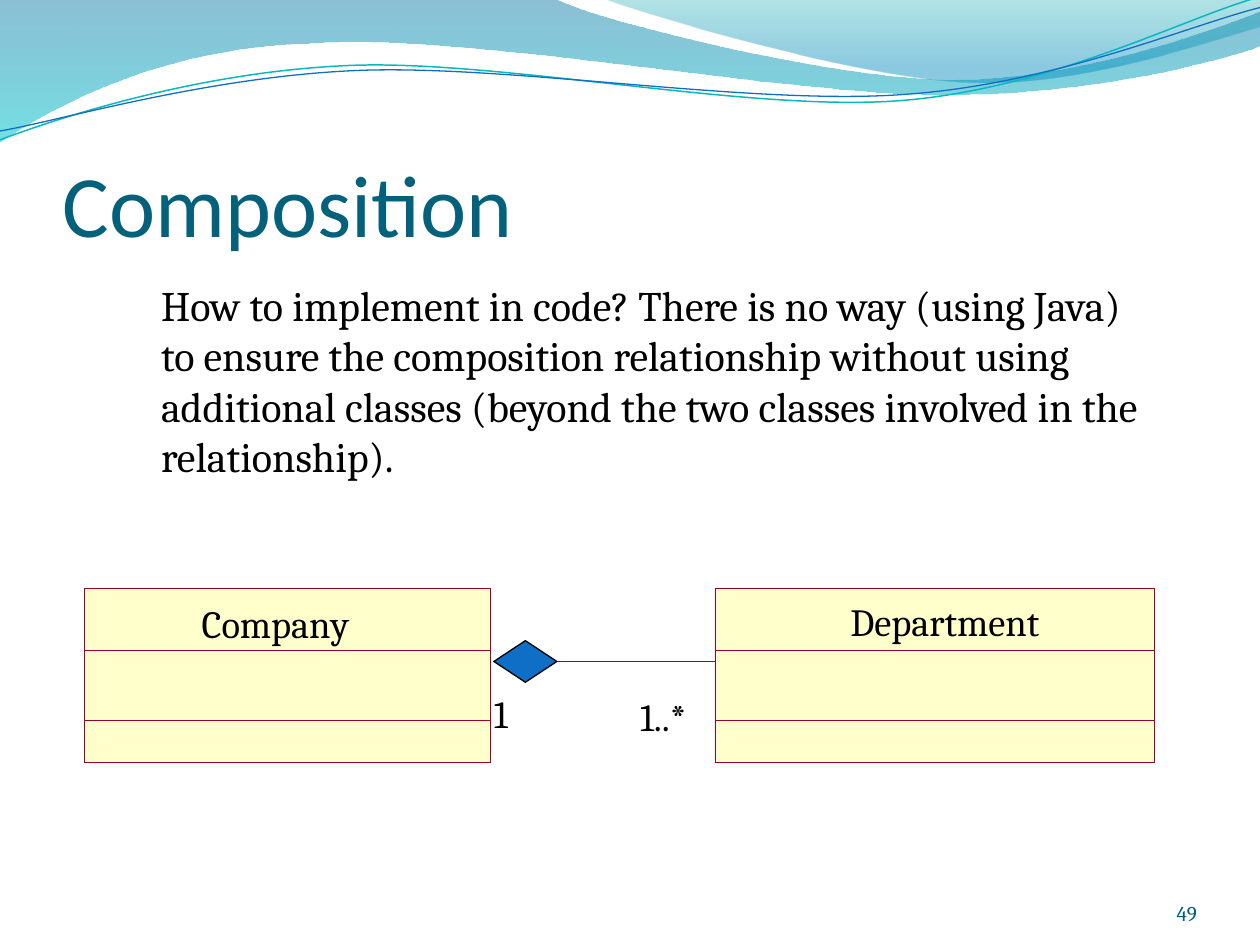
"""Build a slide on composition between two classes, with a UML diagram under a wave header."""
from dataclasses import dataclass
from math import cos, radians, sin

from lxml import etree
from pptx import Presentation
from pptx.dml.color import RGBColor
from pptx.enum.shapes import MSO_CONNECTOR, MSO_SHAPE
from pptx.enum.text import MSO_ANCHOR, MSO_AUTO_SIZE, PP_ALIGN
from pptx.oxml.ns import qn
from pptx.util import Inches, Pt

RECTANGLE, DIAMOND = MSO_SHAPE.RECTANGLE, MSO_SHAPE.DIAMOND
STRAIGHT = MSO_CONNECTOR.STRAIGHT
TOP, BOTTOM = MSO_ANCHOR.TOP, MSO_ANCHOR.BOTTOM
LEFT, RIGHT = PP_ALIGN.LEFT, PP_ALIGN.RIGHT


@dataclass(frozen=True)
class Theme:
    heading_font: str = "Calibri"
    text_font: str = "Cambria"
    heading: str = "04617B"
    number: str = "045D75"
    ink: str = "000000"
    class_fill: str = "FFFFCC"
    class_line: str = "990033"
    accent: str = "0F6FC6"
    teal: str = "0AB8BF"
    heading_size: int = 50
    body_size: int = 24
    label_size: int = 22
    number_size: int = 12


THEME = Theme()
WIDTH, HEIGHT = 10, 7.5
WAVE_TILT = -2.7

TITLE = "Composition"
BODY = ("How to implement in code? There is no way (using Java) to ensure the composition "
        "relationship without using additional classes (beyond the two classes involved in "
        "the relationship).")
PAGE = "49"

CLASS_ROWS = (4.67, 5.16, 5.72)
CLASS_BOTTOM = 6.05
CLASSES = [
    {"left": 0.67, "width": 3.22, "name": "Company", "name_box": (1.6, 4.76, 1.31, 0.37)},
    {"left": 5.68, "width": 3.48, "name": "Department", "name_box": (6.75, 4.75, 1.6, 0.37)},
]
LINK = {"start": 5.67, "end": 3.92, "y": 5.25, "diamond": (0.5, 0.33)}
MULTIPLICITIES = [("1..*", (5.08, 5.5, 0.39, 0.37)), ("1", (3.92, 5.48, 0.17, 0.37))]

BANDS = [
    {"outline": [(0, 0), (4.4, -0.01),
                 (4.76, 0.17, 6.64, 0.63, 7.58, 0.63), (8.53, 0.63, 9.58, 0.26, 10, 0.09),
                 (10.01, 0.36),
                 (9.83, 0.44, 8.7, 0.76, 7.46, 0.75), (6.22, 0.75, 3.82, 0.28, 2.57, 0.34),
                 (1.29, 0.36, 0.46, 0.83, -0.01, 1.13), (0, 0)],
     "stops": [(0, "0074A1", 45), (1, "00C6CF", 55)]},
    {"outline": [(4.79, -0.01),
                 (5.09, 0.11, 6.82, 0.62, 7.69, 0.65), (8.56, 0.69, 9.61, 0.32, 10, 0.21),
                 (10, 0), (4.79, -0.01)],
     "stops": [(0, "00A1A9", 30), (0.8, "008BBF", 45)]},
]
WAVES = [
    {"outline": [(0, 1.11), (0.48, 0.93, 1.58, 0.57, 2.77, 0.52),
                 (3.95, 0.47, 5.93, 0.89, 7.13, 0.8), (8.33, 0.71, 9.38, 0.15, 9.98, -0.02)],
     "center": (4.99, 0.57), "color": THEME.teal, "weight": 0.85},
    {"outline": [(0, 1.04), (0.47, 0.96, 1.64, 0.61, 2.83, 0.56),
                 (4.03, 0.51, 5.97, 0.84, 7.17, 0.75), (8.36, 0.67, 9.41, 0.21, 10, 0.06)],
     "center": (5, 0.59), "color": THEME.accent, "weight": 0.75},
]


def rgb(color):
    return RGBColor.from_string(color)


def place(box):
    return [Inches(length) for length in box]


def pairs(segment):
    return list(zip(segment[::2], segment[1::2]))


def level(outline, center, tilt):
    """Turn an outline about its center so that the shape's rotation restores it."""
    c, s = cos(radians(-tilt)), sin(radians(-tilt))
    return [[length for x, y in pairs(segment)
             for length in (center[0] + (x - center[0]) * c - (y - center[1]) * s,
                            center[1] + (x - center[0]) * s + (y - center[1]) * c)]
            for segment in outline]


def add_outline(slide, outline, close):
    """Add a freeform whose six-number segments are cubic curves."""
    corners = [tuple(place(segment[-2:])) for segment in outline]
    builder = slide.shapes.build_freeform(*corners[0], scale=1.0)
    builder.add_line_segments(corners[1:], close=close)
    shape = builder.convert_to_shape()
    shape.shadow.inherit = False
    for line, segment in zip(list(shape._element.iter(qn("a:lnTo"))), outline[1:]):
        if len(segment) == 6:
            line.tag = qn("a:cubicBezTo")
            curve = etree.Element(qn("a:cubicBezTo"))
            for x, y in pairs(place(segment)):
                etree.SubElement(curve, qn("a:pt"), x=str(x - shape.left), y=str(y - shape.top))
            line.getparent().replace(line, curve)
    return shape


def add_band(slide, outline, stops):
    band = add_outline(slide, outline, True)
    band.line.fill.background()
    band.fill.gradient()
    band.fill.gradient_angle = 270
    for stop, (position, color, _) in zip(band.fill.gradient_stops, stops):
        stop.position = position
        stop.color.rgb = rgb(color)
    for color, (_, _, opacity) in zip(band._element.spPr.iter(qn("a:srgbClr")), stops):
        etree.SubElement(color, qn("a:alpha")).set("val", str(opacity * 1000))


def set_line(shape, color, weight):
    shape.line.color.rgb = rgb(color)
    shape._element.spPr.find(qn("a:ln")).set("w", str(Pt(weight)))


def add_wave(slide, outline, center, color, weight):
    wave = add_outline(slide, level(outline, center, WAVE_TILT), False)
    wave.rotation = WAVE_TILT
    wave.fill.background()
    set_line(wave, color, weight)


def add_shape(slide, kind, box, fill, line, weight):
    shape = slide.shapes.add_shape(kind, *place(box))
    shape.shadow.inherit = False
    if fill:
        shape.fill.solid()
        shape.fill.fore_color.rgb = rgb(fill)
    else:
        shape.fill.background()
    set_line(shape, line, weight)


def add_text(slide, text, box, size, color=THEME.ink, font=THEME.text_font,
             insets=(0, 0, 0, 0), anchor=TOP, align=LEFT, wrap=True):
    frame = slide.shapes.add_textbox(*place(box)).text_frame
    frame.margin_left, frame.margin_top, frame.margin_right, frame.margin_bottom = place(insets)
    frame.word_wrap = wrap
    frame.auto_size = MSO_AUTO_SIZE.NONE if wrap else MSO_AUTO_SIZE.SHAPE_TO_FIT_TEXT
    frame.vertical_anchor = anchor
    paragraph = frame.paragraphs[0]
    paragraph.text = text
    paragraph.alignment = align
    paragraph.font.name = font
    paragraph.font.size = Pt(size)
    paragraph.font.color.rgb = rgb(color)
    return paragraph


def add_class(slide, left, width, name, name_box):
    for row, top in enumerate(CLASS_ROWS):
        add_shape(slide, RECTANGLE, (left, top, width, CLASS_BOTTOM - top),
                  None if row else THEME.class_fill, THEME.class_line, 0)
        if row == 0:
            add_text(slide, name, name_box, THEME.label_size, wrap=False)


def add_link(slide, start, end, y, diamond):
    link = slide.shapes.add_connector(STRAIGHT, *place((start, y, end, y)))
    set_line(link, THEME.class_line, 0)
    etree.SubElement(link._element.spPr, qn("a:effectLst"))
    for text, box in MULTIPLICITIES:
        add_text(slide, text, box, THEME.label_size, wrap=False)
    add_shape(slide, DIAMOND, (end, y - diamond[1] / 2, *diamond), THEME.accent, THEME.ink, 0.75)


def main():
    deck = Presentation()
    deck.slide_width, deck.slide_height = place((WIDTH, HEIGHT))
    slide = deck.slides.add_slide(deck.slide_layouts[6])
    for band in BANDS:
        add_band(slide, **band)
    for wave in WAVES:
        add_wave(slide, **wave)
    add_text(slide, TITLE, (0.5, 0.77, 9, 1.25), THEME.heading_size, THEME.heading,
             THEME.heading_font, insets=(0, 0.05, 0, 0), anchor=BOTTOM)
    body = add_text(slide, BODY, (0.75, 2.17, 8.5, 2.17), THEME.body_size,
                    insets=(0.1, 0.05, 0.1, 0.05))
    body.space_before = Pt(0.2 * THEME.body_size)
    body._p.get_or_add_pPr().set("marL", str(Inches(0.43)))
    for entry in CLASSES:
        add_class(slide, **entry)
    add_link(slide, **LINK)
    add_text(slide, PAGE, (8.67, 6.95, 0.83, 0.4), THEME.number_size, THEME.number,
             anchor=BOTTOM, align=RIGHT)
    deck.save("out.pptx")


if __name__ == "__main__":
    main()
